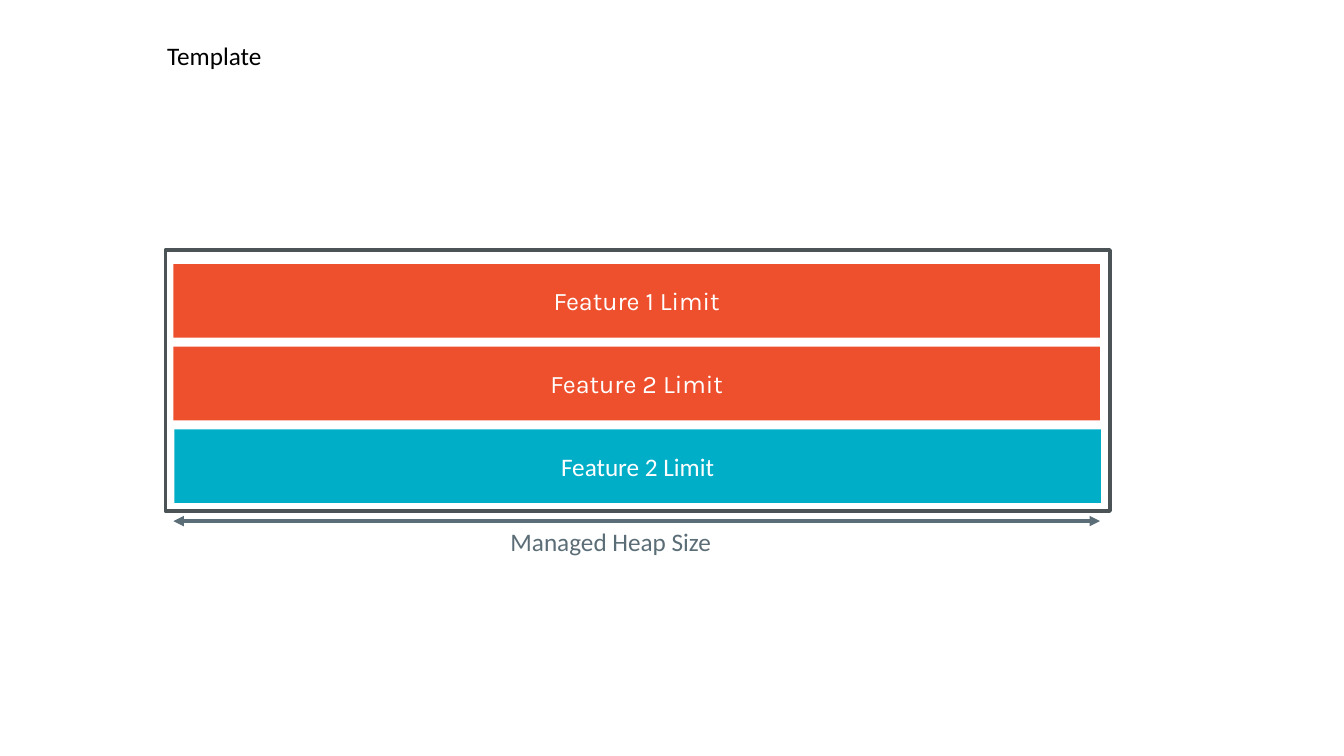
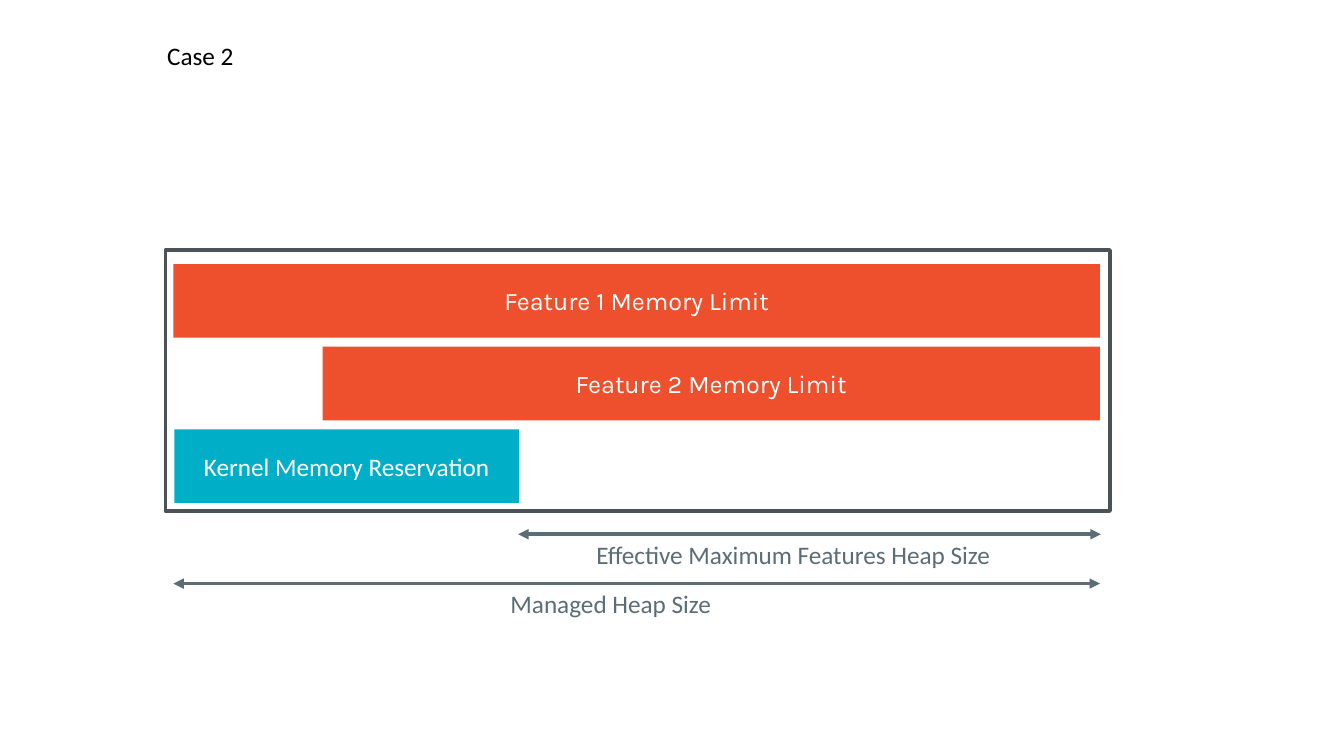
"""Build two slides that compare feature memory limits with the managed heap."""
from dataclasses import dataclass

from lxml.etree import SubElement
from pptx import Presentation
from pptx.dml.color import RGBColor
from pptx.enum.shapes import MSO_CONNECTOR as Connector, MSO_SHAPE as Shape
from pptx.enum.text import MSO_ANCHOR as Anchor, PP_ALIGN as Align
from pptx.oxml.ns import qn
from pptx.util import Inches, Pt

ORANGE = RGBColor(0xEE, 0x50, 0x2E)
TEAL = RGBColor(0x00, 0xAE, 0xC7)
SLATE = RGBColor(0x5B, 0x6D, 0x76)
CHARCOAL = RGBColor(0x4B, 0x53, 0x57)
BLACK = RGBColor(0x00, 0x00, 0x00)
WHITE = RGBColor(0xFF, 0xFF, 0xFF)

BODY_FONT, FEATURE_FONT = "Calibri", "Karla"
TEXT_SIZE, LINE_WIDTH = Pt(18), Pt(2.5)
TRACK_LEFT, TRACK_WIDTH = 1.72, 9.19
FIRST_ROW, ROW_PITCH, BAR_HEIGHT = 2.62, 0.82, 0.73
HEAP_FRAME = (1.64, 2.48, 9.37, 2.59)
TITLE_LEFT, TITLE_TOP = 1.56, 0.35
LABEL_HEIGHT = 0.4


@dataclass(frozen=True)
class Bar:
    """A memory share on one row, with start and end in percent of the track."""
    text: str
    row: int
    start: float = 0
    end: float = 100
    fill: RGBColor = ORANGE
    font: str = FEATURE_FONT


@dataclass(frozen=True)
class Span:
    """A measured range below the frame, in percent of the track."""
    text: str
    top: float
    start: float
    end: float
    label_centre: float
    label_width: float


@dataclass(frozen=True)
class Case:
    """The content of one slide."""
    title: str
    title_width: float
    bars: tuple[Bar, ...]
    spans: tuple[Span, ...]


def managed_heap(top: float) -> Span:
    """Return the span of the whole managed heap."""
    return Span("Managed Heap Size", top, 0, 100, 47.2, 2.2)


CASES = (
    Case("Template", 1.15, (
        Bar("Feature 1 Limit", 0),
        Bar("Feature 2 Limit", 1),
        Bar("Feature 2 Limit", 2, 0.1, 100.1, TEAL, BODY_FONT),
    ), (managed_heap(5.17),)),
    Case("Case 2", 0.87, (
        Bar("Feature 1 Memory Limit", 0),
        Bar("Feature 2 Memory Limit", 1, start=16.1),
        Bar("Kernel Memory Reservation", 2, 0.1, 37.3, TEAL, BODY_FONT),
    ), (
        managed_heap(5.79),
        Span("Effective Maximum Features Heap Size", 5.3, 37.2, 100.1, 66.9, 4.11),
    )),
)


def track_x(percent: float) -> float:
    """Return the horizontal position of a percentage of the track."""
    return TRACK_LEFT + TRACK_WIDTH * percent / 100


def write(frame, text: str, *, color: RGBColor, font: str = BODY_FONT,
          align: Align = Align.CENTER, anchor: Anchor = Anchor.TOP,
          wrap: bool = False) -> None:
    """Put one formatted paragraph into a text frame."""
    frame.word_wrap = wrap
    frame.vertical_anchor = anchor
    paragraph = frame.paragraphs[0]
    paragraph.alignment = align
    run = paragraph.add_run()
    run.text = text
    run.font.name, run.font.size = font, TEXT_SIZE
    run.font.color.rgb = color


def add_rectangle(slide, left: float, top: float, width: float, height: float):
    """Add a rectangle without shadow."""
    box = slide.shapes.add_shape(Shape.RECTANGLE, *map(Inches, (left, top, width, height)))
    box.shadow.inherit = False
    return box


def add_label(shapes, left: float, top: float, width: float):
    """Add a one-line text box and return its text frame."""
    return shapes.add_textbox(*map(Inches, (left, top, width, LABEL_HEIGHT))).text_frame


def draw_bar(slide, bar: Bar) -> None:
    """Draw a filled bar on its row."""
    left = track_x(bar.start)
    box = add_rectangle(slide, left, FIRST_ROW + bar.row * ROW_PITCH,
                        track_x(bar.end) - left, BAR_HEIGHT)
    box.fill.solid()
    box.fill.fore_color.rgb = bar.fill
    box.line.fill.background()
    write(box.text_frame, bar.text, color=WHITE, font=bar.font,
          anchor=Anchor.MIDDLE, wrap=True)


def draw_frame(slide) -> None:
    """Draw the outline of the heap."""
    outline = add_rectangle(slide, *HEAP_FRAME)
    outline.fill.background()
    outline.line.color.rgb = CHARCOAL
    outline.line.width = LINE_WIDTH


def draw_span(slide, span: Span) -> None:
    """Draw a double-headed arrow grouped with its label."""
    shapes = slide.shapes.add_group_shape().shapes
    arrow = shapes.add_connector(Connector.STRAIGHT, *map(
        Inches, (track_x(span.start), span.top, track_x(span.end), span.top)))
    arrow.line.color.rgb = SLATE
    arrow.line.width = LINE_WIDTH
    line = arrow.line._get_or_add_ln()
    for end in ("a:headEnd", "a:tailEnd"):
        SubElement(line, qn(end), type="triangle")
    SubElement(arrow._element.spPr, qn("a:effectLst"))
    left = track_x(span.label_centre) - span.label_width / 2
    write(add_label(shapes, left, span.top, span.label_width), span.text, color=SLATE)


def draw_case(slide, case: Case) -> None:
    """Draw the title, frame, bars and spans of one case."""
    write(add_label(slide.shapes, TITLE_LEFT, TITLE_TOP, case.title_width),
          case.title, color=BLACK, align=Align.LEFT)
    draw_frame(slide)
    for bar in case.bars:
        draw_bar(slide, bar)
    for span in case.spans:
        draw_span(slide, span)


def main() -> None:
    """Build and save the presentation."""
    deck = Presentation()
    deck.slide_width, deck.slide_height = Inches(13.33), Inches(7.5)
    blank = deck.slide_layouts[6]
    for case in CASES:
        draw_case(deck.slides.add_slide(blank), case)
    deck.save("out.pptx")


if __name__ == "__main__":
    main()
